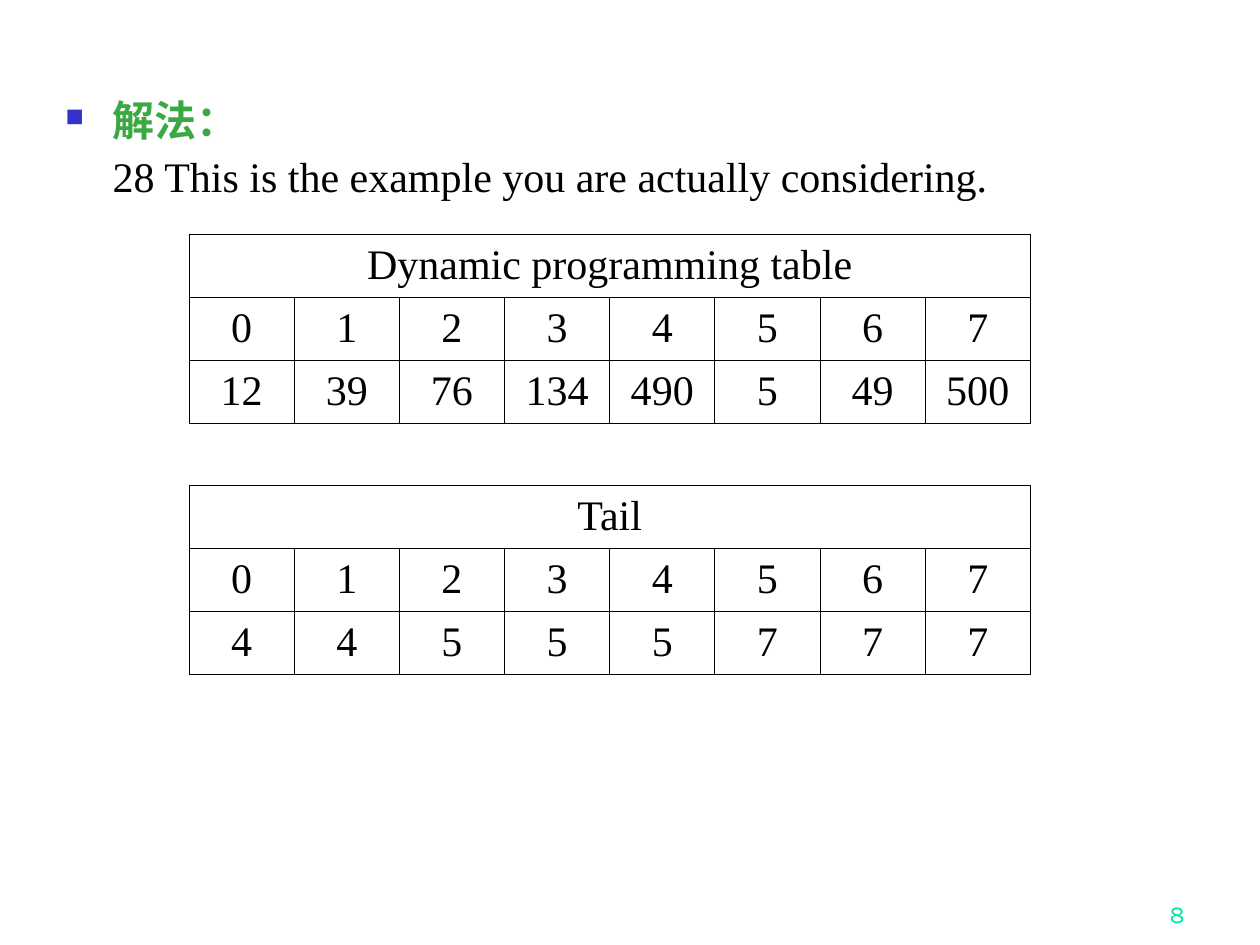
from lxml.etree import SubElement
from pptx import Presentation
from pptx.dml.color import RGBColor
from pptx.enum.text import MSO_ANCHOR, PP_ALIGN
from pptx.oxml import parse_xml
from pptx.oxml.ns import nsdecls, qn
from pptx.util import Cm, Pt

COLORS = {
    "text": "000000",
    "heading": "3BA943",
    "bullet": "3333CC",
    "number": "00E4A8",
    "border": "000000",
}


class SlideBuilder:
    font_name = "Times New Roman"
    number_font = "Karla"
    size = 24
    border_width = 0.45
    column_width = Cm(2.12)
    row_height = Cm(1.27)
    text_indent = Cm(0.95)

    def __init__(self, slide):
        self.slide = slide

    def style(self, paragraph, color="text", bold=False, size=None, name=None):
        font = paragraph.font
        font.name = name or self.font_name
        font.size = Pt(size or self.size)
        font.bold = bold
        font.color.rgb = RGBColor.from_string(COLORS[color])

    def text_frame(self, left, top, width, height):
        frame = self.slide.shapes.add_textbox(left, top, width, height).text_frame
        frame.word_wrap = True
        return frame

    def bullet(self, paragraph):
        properties = paragraph._p.get_or_add_pPr()
        properties.set("indent", str(-self.text_indent))
        color = SubElement(properties, qn("a:buClr"))
        SubElement(color, qn("a:srgbClr"), val=COLORS["bullet"])
        SubElement(properties, qn("a:buSzPct"), val="60000")
        SubElement(properties, qn("a:buChar"), char="■")

    def body(self, left, top, width, height, heading, sentence):
        frame = self.text_frame(left, top, width, height)
        first, second = frame.paragraphs[0], frame.add_paragraph()
        for paragraph, text in ((first, heading), (second, sentence)):
            paragraph.text = text
            paragraph.line_spacing = 0.9
            paragraph._p.get_or_add_pPr().set("marL", str(self.text_indent))
        second.space_before = Pt(6)
        self.bullet(first)
        self.style(first, "heading", bold=True)
        self.style(second)

    def borders(self, cell):
        properties = cell._tc.get_or_add_tcPr()
        for position, side in enumerate(("lnL", "lnR", "lnT", "lnB")):
            properties.insert(position, parse_xml(
                f'<a:{side} {nsdecls("a")} w="{Pt(self.border_width)}">'
                f'<a:solidFill><a:srgbClr val="{COLORS["border"]}"/></a:solidFill>'
                f'</a:{side}>'))

    def table(self, left, top, title, values):
        count = len(values)
        rows = [[title] + [""] * (count - 1), range(count), values]
        table = self.slide.shapes.add_table(
            len(rows), count, left, top,
            self.column_width * count, self.row_height * len(rows)).table
        table.first_row = table.horz_banding = False
        for column in table.columns:
            column.width = self.column_width
        for row_index, row in enumerate(rows):
            for column_index, value in enumerate(row):
                cell = table.cell(row_index, column_index)
                cell.vertical_anchor = MSO_ANCHOR.MIDDLE
                cell.fill.background()
                self.borders(cell)
                paragraph = cell.text_frame.paragraphs[0]
                paragraph.text = str(value)
                paragraph.alignment = PP_ALIGN.CENTER
                self.style(paragraph)
        table.cell(0, 0).merge(table.cell(0, count - 1))

    def page_number(self, left, top, width, height, number):
        frame = self.text_frame(left, top, width, height)
        frame.vertical_anchor = MSO_ANCHOR.BOTTOM
        paragraph = frame.paragraphs[0]
        paragraph.text = number
        paragraph.alignment = PP_ALIGN.RIGHT
        self.style(paragraph, "number", size=14, name=self.number_font)


def main():
    presentation = Presentation()
    presentation.slide_width = Cm(25.4)
    presentation.slide_height = Cm(19.05)
    builder = SlideBuilder(presentation.slides.add_slide(presentation.slide_layouts[6]))

    builder.page_number(Cm(18.85), Cm(17.58), Cm(5.28), Cm(1.27), "8")
    builder.body(Cm(1.07), Cm(1.9), Cm(22.43), Cm(15.62), "解法：",
                 "28 This is the example you are actually considering.")
    builder.table(Cm(3.81), Cm(4.72), "Dynamic programming table",
                  [12, 39, 76, 134, 490, 5, 49, 500])
    builder.table(Cm(3.81), Cm(9.78), "Tail", [4, 4, 5, 5, 5, 7, 7, 7])

    presentation.save("out.pptx")


if __name__ == "__main__":
    main()
